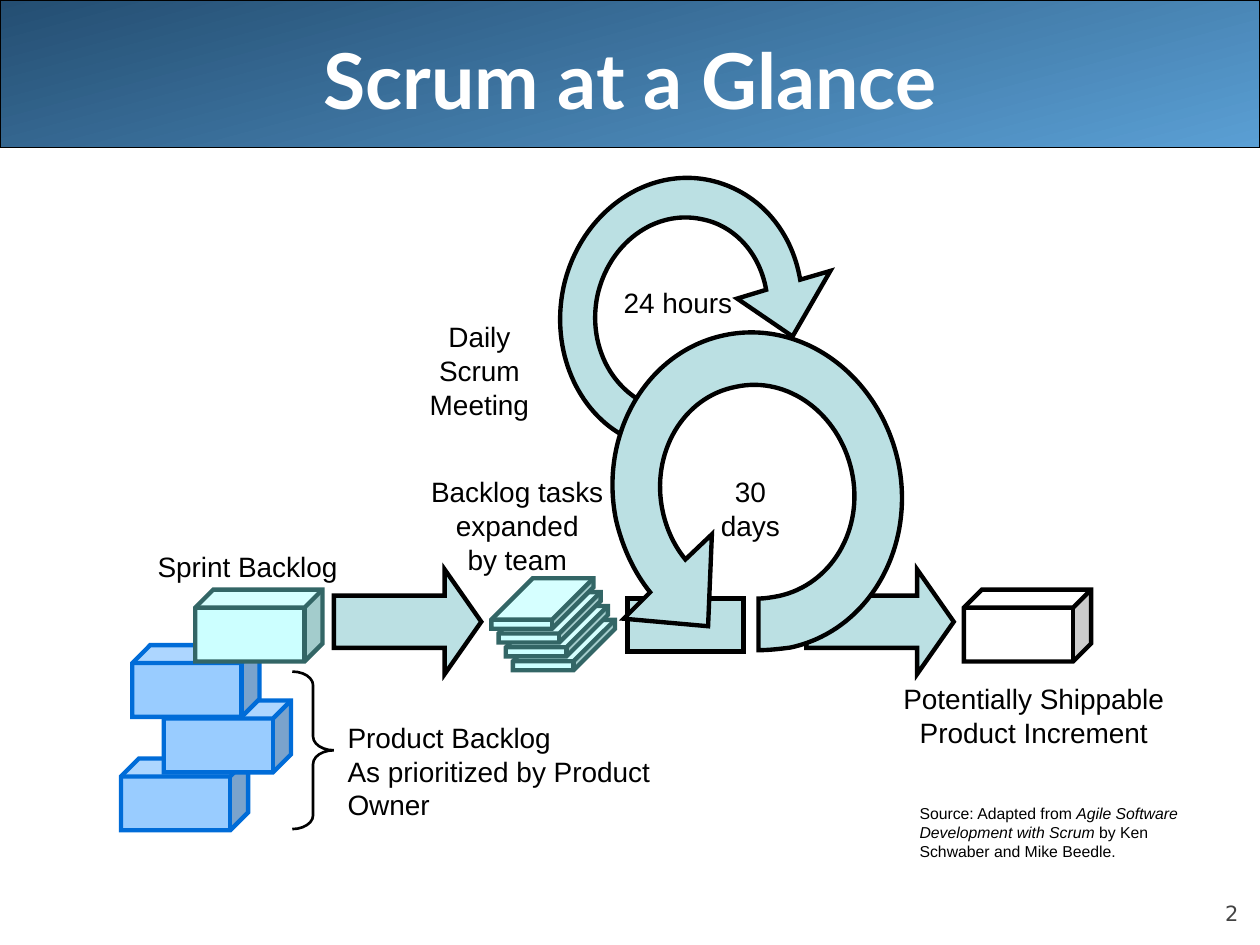
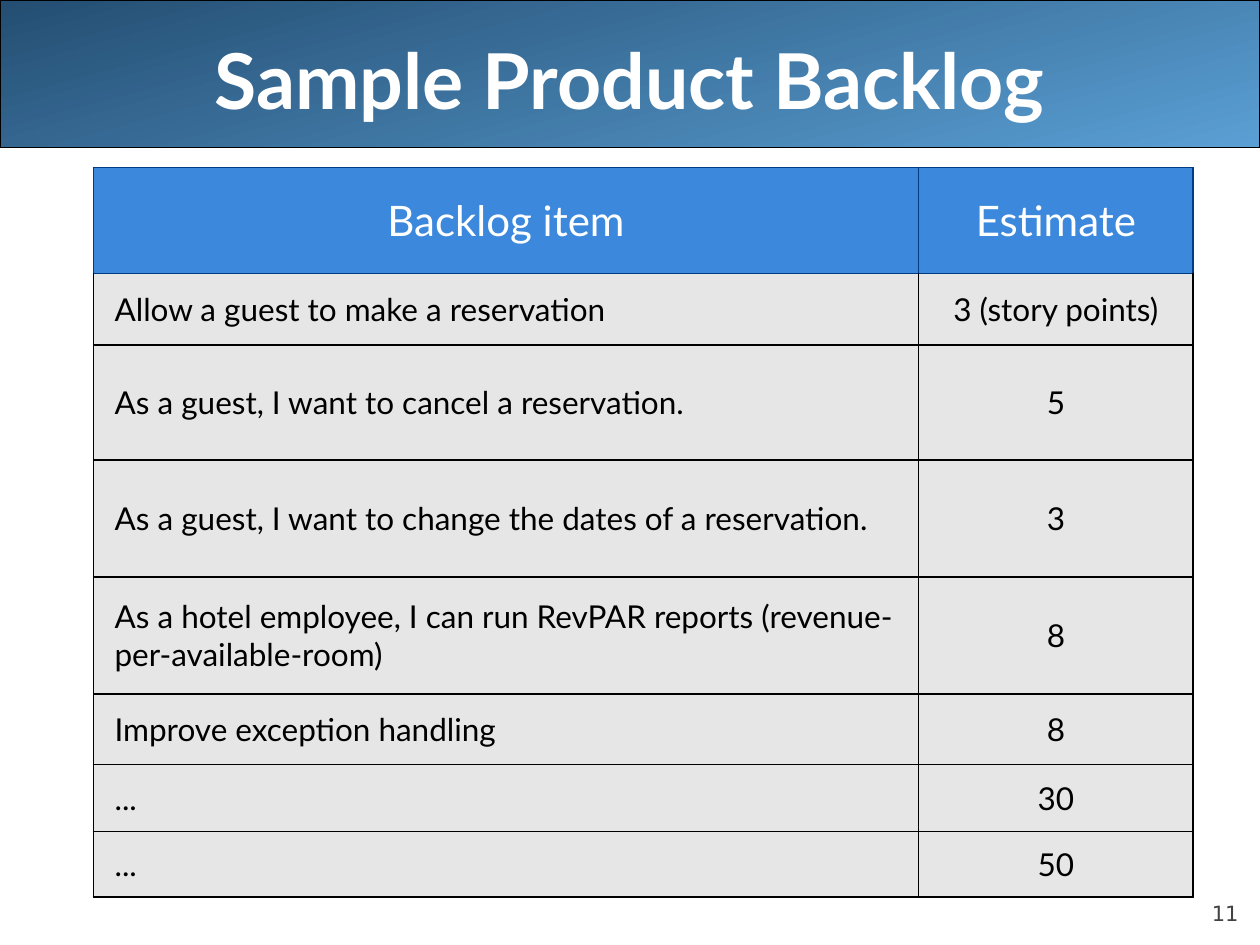
from math import cos, radians, sin

from lxml.etree import SubElement
from pptx import Presentation
from pptx.dml.color import RGBColor
from pptx.enum.shapes import MSO_SHAPE
from pptx.enum.text import MSO_ANCHOR, MSO_AUTO_SIZE, PP_ALIGN
from pptx.oxml.ns import qn
from pptx.util import Inches, Pt

BLACK, WHITE = "000000", "FFFFFF"
BAND_DARK, BAND_LIGHT, NUMBER_GREY = "244E72", "5A9FD4", "424242"
FLOW_TEAL, PRODUCT_FILL, PRODUCT_LINE = "BBE0E3", "99CCFF", "006CD8"
SPRINT_FILL, SPRINT_LINE = "CCFFFF", "336666"
HEADER_BLUE, HEADER_LINE, ROW_GREY = "3C88DC", "003C83", "E6E6E6"

TITLE_FONT = {"name": "Lato", "size": Pt(44), "bold": True}
NUMBER_FONT = {"name": "DejaVu Sans", "size": Pt(12)}
LABEL_FONT = {"name": "Arial", "size": Pt(16)}
SOURCE_FONT = {"name": "Arial", "size": Pt(9)}
HEADER_FONT = {"name": "Lato", "size": Pt(24)}
ROW_FONT = {"name": "Lato", "size": Pt(18)}

CUBE_SIZE = (1.01, 0.57)
TASK_SIZE = (0.81, 0.4)
ARROW_SIZE = (1.17, 0.83)

# Outlines: a pair is a straight step, six numbers are a Bézier curve.
DAILY_LOOP = [
    (1.68, 0.9),
    (1.63, 0.61, 1.43, 0.39, 1.17, 0.34),
    (0.8, 0.26, 0.43, 0.53, 0.34, 0.95),
    (0.27, 1.3, 0.42, 1.64, 0.7, 1.79),
    (0.57, 2.07),
    (0.18, 1.87, -0.03, 1.38, 0.07, 0.89),
    (0.19, 0.31, 0.71, -0.08, 1.23, 0.03),
    (1.6, 0.11, 1.88, 0.41, 1.95, 0.82),
    (2.19, 0.75), (1.89, 1.27), (1.45, 0.97), (1.68, 0.9),
]
SPRINT_LOOP = [
    (1.04, 3.04),
    (0.95, 2.93, 0.89, 2.8, 0.86, 2.66),
    (0.76, 2.2, 1.02, 1.75, 1.44, 1.67),
    (1.85, 1.58, 2.26, 1.88, 2.36, 2.34),
    (2.46, 2.8, 2.2, 3.24, 1.78, 3.33),
    (1.73, 3.34, 1.67, 3.35, 1.62, 3.35),
    (1.62, 3.76),
    (1.7, 3.76, 1.79, 3.75, 1.87, 3.74),
    (2.49, 3.61, 2.87, 2.95, 2.73, 2.27),
    (2.58, 1.58, 1.97, 1.13, 1.35, 1.26),
    (0.73, 1.39, 0.35, 2.05, 0.49, 2.73),
    (0.54, 2.94, 0.63, 3.14, 0.76, 3.3),
    (0.55, 3.51), (1.22, 3.57), (1.25, 2.84), (1.04, 3.04),
]

BACKLOG = [
    ("Backlog item", "Estimate"),
    ("Allow a guest to make a reservation", "3 (story points)"),
    ("As a guest, I want to cancel a reservation.", "5"),
    ("As a guest, I want to change the dates of a reservation.", "3"),
    ("As a hotel employee, I can run RevPAR reports "
     "(revenue-per-available-room)", "8"),
    ("Improve exception handling", "8"),
    ("...", "30"),
    ("...", "50"),
]
COLUMN_WIDTHS = (6.55, 2.18)
ROW_HEIGHTS = (0.84, 0.57, 0.91, 0.93, 0.93, 0.56, 0.53, 0.52)


def rgb(color):
    return RGBColor.from_string(color)


def apply(target, values):
    for name, value in values.items():
        setattr(target, name, value)


def paint(shape, fill, line=BLACK, width=2.5):
    shape.shadow.inherit = False
    if fill:
        shape.fill.solid()
        shape.fill.fore_color.rgb = rgb(fill)
    else:
        shape.fill.background()
    shape.line.color.rgb = rgb(line)
    shape.line.width = Pt(width)
    SubElement(shape.line._get_or_add_ln(), qn("a:miter"), lim="800000")


def add_preset(slide, preset, box, fill, line=BLACK, width=2.5, adjust=()):
    shape = slide.shapes.add_shape(preset, *map(Inches, box))
    for index, value in enumerate(adjust):
        shape.adjustments[index] = value
    paint(shape, fill, line, width)


def add_cube(slide, left, top, fill, line, size=CUBE_SIZE, depth=0.25):
    add_preset(slide, MSO_SHAPE.CUBE, (left, top, *size), fill, line,
               adjust=(depth,))


def add_flow_arrow(slide, left, top):
    add_preset(slide, MSO_SHAPE.RIGHT_ARROW, (left, top, *ARROW_SIZE),
               FLOW_TEAL, adjust=(0.5, 0.35))


def write(paragraph, text, font, color=BLACK, align=PP_ALIGN.LEFT, **extra):
    run = paragraph.add_run()
    run.text = text
    apply(run.font, {**font, **extra})
    run.font.color.rgb = rgb(color)
    paragraph.alignment = align


def add_label(slide, box, lines, align=PP_ALIGN.CENTER):
    frame = slide.shapes.add_textbox(*map(Inches, box)).text_frame
    apply(frame, {"word_wrap": False,
                  "auto_size": MSO_AUTO_SIZE.SHAPE_TO_FIT_TEXT})
    for index, line in enumerate(lines):
        paragraph = frame.add_paragraph() if index else frame.paragraphs[0]
        write(paragraph, line, LABEL_FONT, align=align)


def add_loop(slide, left, top, outline, frame, angle):
    """Curved arrow whose frame, relative to left and top, is turned by angle."""
    x, y, width, height = frame
    turn = radians(-angle)

    def to_frame(px, py):
        dx, dy = px - x - width / 2, py - y - height / 2
        return (Inches(width / 2 + dx * cos(turn) - dy * sin(turn)),
                Inches(height / 2 + dx * sin(turn) + dy * cos(turn)))

    steps = [[to_frame(*step[i:i + 2]) for i in range(0, len(step), 2)]
             for step in outline]
    builder = slide.shapes.build_freeform(*steps[0][0])
    builder.add_line_segments([step[-1] for step in steps[1:]], close=True)
    loop = builder.convert_to_shape()
    apply(loop, {"left": Inches(left + x), "top": Inches(top + y),
                 "width": Inches(width), "height": Inches(height),
                 "rotation": angle})
    curve = next(loop._element.iter(qn("a:path")))
    curve.clear()
    curve.set("w", str(Inches(width)))
    curve.set("h", str(Inches(height)))
    for index, step in enumerate(steps):
        tag = "a:cubicBezTo" if len(step) == 3 else "a:lnTo"
        node = SubElement(curve, qn(tag if index else "a:moveTo"))
        for px, py in step:
            SubElement(node, qn("a:pt"), x=str(px), y=str(py))
    SubElement(curve, qn("a:close"))
    paint(loop, FLOW_TEAL)


def add_band(slide, box):
    band = slide.shapes.add_shape(MSO_SHAPE.RECTANGLE, *map(Inches, box))
    paint(band, WHITE, width=0.75)
    band.fill.gradient()
    band.fill.gradient_angle = 285
    for stop, color, position in zip(band.fill.gradient_stops,
                                     (BAND_DARK, BAND_LIGHT), (0, 1)):
        stop.color.rgb = rgb(color)
        stop.position = position
    slide.shapes._spTree.insert(2, band._element)  # behind the title


def add_titled_slide(deck, title, number):
    slide = deck.slides.add_slide(deck.slide_layouts[5])
    add_band(slide, (0, 0, 10, 1.17))
    heading = slide.shapes.title
    apply(heading, {"left": Inches(0.5), "top": Inches(0),
                    "width": Inches(9), "height": Inches(1.25)})
    heading.text_frame.vertical_anchor = MSO_ANCHOR.MIDDLE
    write(heading.text_frame.paragraphs[0], title, TITLE_FONT, WHITE,
          PP_ALIGN.CENTER)
    frame = slide.shapes.add_textbox(
        *map(Inches, (9, 6.95, 0.83, 0.4))).text_frame
    apply(frame, {"margin_left": 0, "margin_right": 0, "margin_top": 0,
                  "margin_bottom": 0, "word_wrap": True,
                  "vertical_anchor": MSO_ANCHOR.BOTTOM})
    write(frame.paragraphs[0], str(number), NUMBER_FONT, NUMBER_GREY,
          PP_ALIGN.RIGHT)
    return slide


def add_backlogs(slide, left, top):
    """Product backlog cubes with their brace, and the sprint backlog on top."""
    for x, y in ((0, 1.71), (0.34, 1.25), (0.09, 0.81)):
        add_cube(slide, left + x, top + y, PRODUCT_FILL, PRODUCT_LINE)
    add_cube(slide, left + 0.59, top + 0.37, SPRINT_FILL, SPRINT_LINE)
    add_preset(slide, MSO_SHAPE.RIGHT_BRACE,
               (left + 1.36, top + 1.02, 0.33, 1.25), None, width=1.5,
               adjust=(0.33, 0.5))
    add_label(slide, (left + 0.19, top, 1.63, 0.37), ["Sprint Backlog"])
    add_label(slide, (left + 1.7, top + 1.36, 3.31, 0.64),
              ["Product Backlog", "As prioritized by Product Owner"],
              PP_ALIGN.LEFT)


def add_expanded_tasks(slide, left, top):
    for level in (3, 2, 1, 0):
        add_cube(slide, left + 0.58 + 0.057 * level, top + 0.87 + 0.11 * level,
                 SPRINT_FILL, SPRINT_LINE, TASK_SIZE, 0.82)
    add_label(slide, (left, top, 1.57, 0.9),
              ["Backlog tasks", "expanded", "by team"])


def add_sprint_cycle(slide, left, top):
    """Daily loop over the 30-day loop, with the flow passing below."""
    add_flow_arrow(slide, left + 2, top + 3.12)
    add_preset(slide, MSO_SHAPE.RECTANGLE,
               (left + 0.58, top + 3.35, 0.92, 0.42), FLOW_TEAL)
    add_loop(slide, left, top, DAILY_LOOP, (-0.07, 0.13, 2.17, 1.92), 101.8)
    add_loop(slide, left, top, SPRINT_LOOP, (0.34, 1.36, 2.53, 2.28), 258.2)
    add_label(slide, (left + 0.45, top + 0.82, 1.06, 0.37), ["24 hours"])
    add_label(slide, (left + 1.07, top + 2.32, 0.97, 0.37), ["30 days"])
    add_label(slide, (left - 1.29, top + 1.09, 1.39, 0.64),
              ["Daily Scrum", "Meeting"])


def add_increment(slide, left, top):
    add_cube(slide, left + 0.58, top, WHITE, BLACK)
    add_label(slide, (left, top + 0.68, 2.27, 0.64),
              ["Potentially Shippable", "Product Increment"])


def add_source(slide, box):
    frame = slide.shapes.add_textbox(*map(Inches, box)).text_frame
    frame.word_wrap = True
    for text, italic in (
            ("Source: Adapted from ", False),
            ("Agile Software Development with Scrum ", True),
            ("by Ken Schwaber and Mike Beedle.", False)):
        write(frame.paragraphs[0], text, SOURCE_FONT, italic=italic)


def set_borders(cell, colors):
    properties = cell._tc.get_or_add_tcPr()
    for index, (side, color) in enumerate(colors.items()):
        line = properties.makeelement(qn(f"a:ln{side}"),
                                      {"w": str(Pt(0.96))})
        fill = SubElement(line, qn("a:solidFill"))
        SubElement(fill, qn("a:srgbClr"), val=color)
        properties.insert(index, line)


def format_cell(cell, text, row, column):
    header = row == 0
    centred = header or column == 1
    apply(cell, {"margin_left": Inches(0.04 if centred else 0.17),
                 "margin_right": Inches(0.04),
                 "margin_top": Inches(0.05), "margin_bottom": Inches(0.05),
                 "vertical_anchor": MSO_ANCHOR.MIDDLE})
    cell.fill.solid()
    cell.fill.fore_color.rgb = rgb(HEADER_BLUE if header else ROW_GREY)
    edge = HEADER_LINE if header else BLACK
    set_borders(cell, {"L": edge, "R": edge,
                       "T": HEADER_LINE if row <= 1 else BLACK, "B": edge})
    write(cell.text_frame.paragraphs[0], text,
          HEADER_FONT if header else ROW_FONT, WHITE if header else BLACK,
          PP_ALIGN.CENTER if centred else PP_ALIGN.LEFT)


def add_backlog_table(slide, left, top):
    box = (left, top, sum(COLUMN_WIDTHS), sum(ROW_HEIGHTS))
    table = slide.shapes.add_table(len(BACKLOG), len(COLUMN_WIDTHS),
                                   *map(Inches, box)).table
    for column, width in zip(table.columns, COLUMN_WIDTHS):
        column.width = Inches(width)
    for row, height in zip(table.rows, ROW_HEIGHTS):
        row.height = Inches(height)
    for r, entry in enumerate(BACKLOG):
        for c, text in enumerate(entry):
            format_cell(table.cell(r, c), text, r, c)


def main():
    deck = Presentation()
    deck.slide_width, deck.slide_height = Inches(10), Inches(7.5)

    glance = add_titled_slide(deck, "Scrum at a Glance", 2)
    add_backlogs(glance, 0.96, 4.31)
    add_flow_arrow(glance, 2.65, 4.52)
    add_expanded_tasks(glance, 3.32, 3.72)
    add_sprint_cycle(glance, 4.4, 1.4)
    add_increment(glance, 7.07, 4.68)
    add_source(glance, (7.2, 6.33, 2.58, 0.55))

    sample = add_titled_slide(deck, "Sample Product Backlog", 11)
    add_backlog_table(sample, 0.74, 1.33)
    deck.save("out.pptx")


if __name__ == "__main__":
    main()
